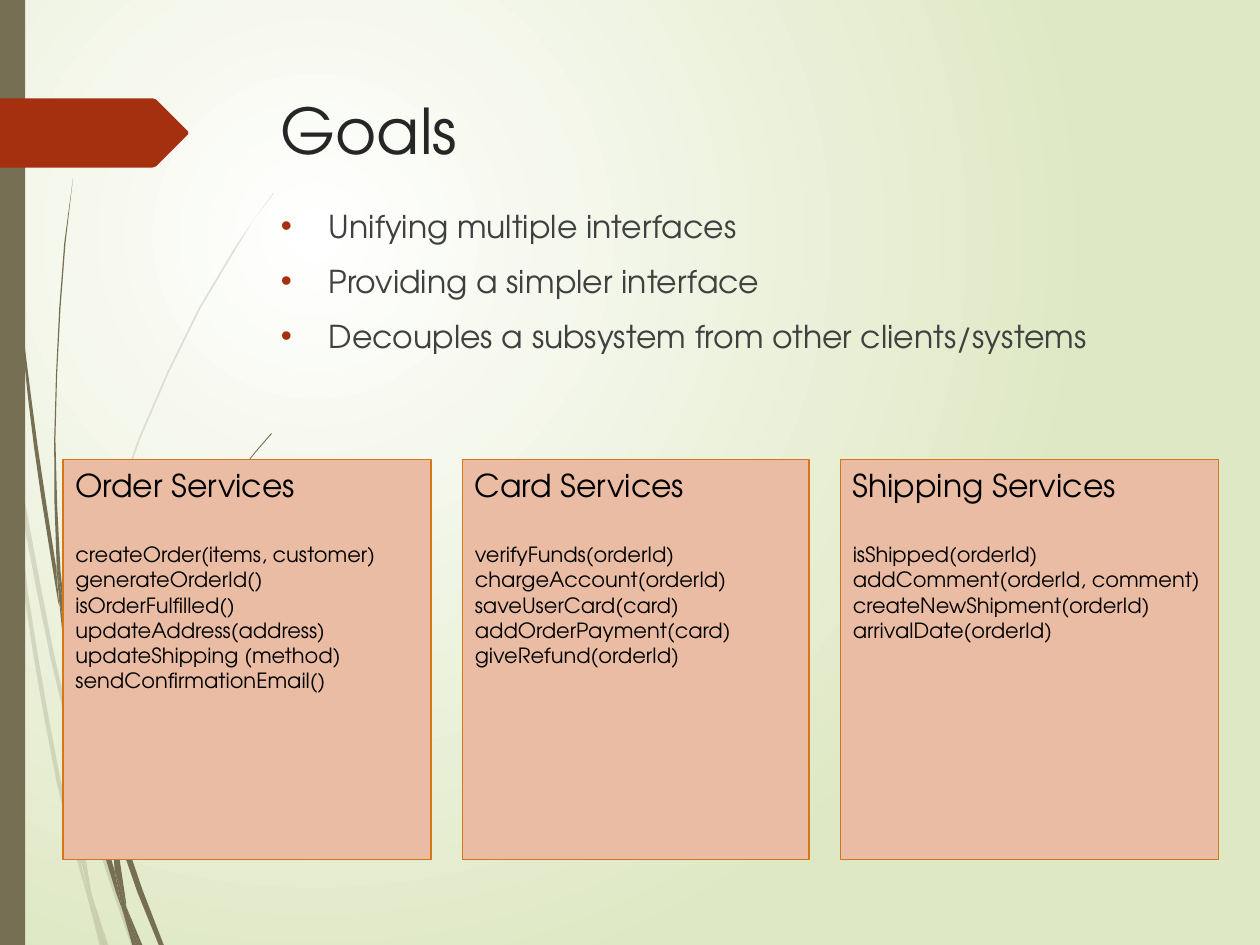
from dataclasses import dataclass
from math import ceil, dist

from lxml import etree
from pptx import Presentation
from pptx.dml.color import RGBColor
from pptx.enum.shapes import MSO_SHAPE
from pptx.enum.text import MSO_ANCHOR, PP_ALIGN
from pptx.oxml.ns import qn
from pptx.util import Emu, Inches, Pt

RECTANGLE = MSO_SHAPE.RECTANGLE
TOP = MSO_ANCHOR.TOP
LEFT = PP_ALIGN.LEFT

OLIVE = RGBColor(0x76, 0x6F, 0x54)
RUST = RGBColor(0xA5, 0x30, 0x10)
TITLE_GRAY = RGBColor(0x26, 0x26, 0x26)
BODY_GRAY = RGBColor(0x40, 0x40, 0x40)
PEACH = RGBColor(0xEB, 0xBC, 0xA4)
ORANGE = RGBColor(0xD4, 0x78, 0x17)
BLACK = RGBColor(0x00, 0x00, 0x00)
WHITE = RGBColor(0xFF, 0xFF, 0xFF)
PALE_GREEN = RGBColor(0xDF, 0xE8, 0xC4)

FONT = "TeX Gyre Adventor"
SLIDE_WIDTH, SLIDE_HEIGHT = Inches(10), Inches(7.5)
COLUMNS, ROWS = 1000, 750
CELL = SLIDE_WIDTH // COLUMNS
CHORD = 60

Point = tuple[float, float]


@dataclass(frozen=True)
class Blade:
    outward: list[Point]
    back: list[Point]


@dataclass(frozen=True)
class ServiceCard:
    title: str
    columns: int
    methods: list[str]


PALE_BLADES = [
    Blade([(8, 350), (6, 322), (0, 282)], [(0, 299), (7, 344), (8, 350)]),
    Blade([(10, 345), (12, 376), (40, 522), (59, 599)], [(59, 586), (43, 520), (10, 345)]),
    Blade([(61, 596), (61, 610), (85, 694), (104, 750)], [(108, 750), (88, 692), (64, 607), (61, 596)]),
    Blade([(73, 711), (83, 750)], [(86, 750), (73, 711)]),
    Blade([(8, 350), (19, 470), (45, 621), (64, 693), (70, 714)],
          [(69, 707), (64, 683), (48, 619), (22, 469), (12, 376), (8, 350)]),
    Blade([(58, 599), (60, 646), (64, 683), (67, 692), (73, 711)],
          [(72, 706), (63, 646), (61, 610), (58, 599)]),
    Blade([(61, 596), (61, 584), (76, 462), (111, 349), (159, 245), (187, 198), (201, 175), (217, 154)],
          [(217, 153), (201, 175), (186, 197), (158, 244), (110, 348), (75, 461), (59, 584), (61, 596)]),
    Blade([(70, 714), (79, 750)], [(82, 750), (70, 714)]),
    Blade([(65, 683), (69, 707), (70, 714), (82, 750)], [(83, 750), (73, 711), (67, 692), (65, 683)]),
]

DARK_BLADES = [
    Blade([(2, 0), (3, 48), (5, 110), (14, 233), (27, 355), (46, 477), (47, 481)],
          [(45, 457), (45, 453), (30, 355), (15, 232), (6, 109), (4, 48), (3, 0)]),
    Blade([(50, 472), (53, 505), (73, 592), (88, 645)], [(88, 633), (88, 631), (77, 590), (50, 472)]),
    Blade([(91, 641), (91, 656), (109, 708), (126, 750)], [(130, 750), (113, 706), (94, 649), (91, 641)]),
    Blade([(47, 477), (56, 557), (77, 659), (92, 708), (97, 722)],
          [(96, 717), (91, 691), (81, 657), (60, 556), (53, 505), (47, 477)]),
    Blade([(50, 472), (48, 453), (44, 349), (48, 245), (52, 193), (58, 141)],
          [(58, 141), (51, 193), (47, 245), (43, 349), (45, 449), (49, 472)]),
    Blade([(100, 719), (110, 750)], [(113, 750), (100, 719)]),
    Blade([(45, 449), (45, 453), (47, 477), (53, 505)], [(50, 472), (49, 472), (45, 449)]),
    Blade([(91, 641), (91, 633), (103, 552), (131, 476), (169, 406), (191, 374), (203, 359), (216, 344)],
          [(215, 344), (203, 358), (191, 373), (168, 405), (129, 474), (101, 551), (88, 631), (91, 641)]),
    Blade([(97, 722), (105, 750)], [(108, 750), (97, 722)]),
    Blade([(88, 645), (91, 691), (96, 706), (100, 719)], [(100, 716), (91, 656), (90, 651), (88, 645)]),
    Blade([(91, 691), (96, 717), (97, 722), (108, 750)], [(110, 750), (100, 719), (96, 706), (91, 691)]),
]

ARROW = [(0, 78), (121, 78), (124, 79), (149, 104), (149.5, 105.5), (149, 107),
         (124, 132), (121, 133), (0, 133)]

GOALS = [
    "Unifying multiple interfaces",
    "Providing a simpler interface",
    "Decouples a subsystem from other clients/systems",
]

CARDS = [
    ServiceCard("Order Services", 292, [
        "createOrder(items, customer)", "generateOrderId()", "isOrderFulfilled()",
        "updateAddress(address)", "updateShipping (method)", "sendConfirmationEmail()"]),
    ServiceCard("Card Services", 275, [
        "verifyFunds(orderId)", "chargeAccount(orderId)", "saveUserCard(card)",
        "addOrderPayment(card)", "giveRefund(orderId)"]),
    ServiceCard("Shipping Services", 300, [
        "isShipped(orderId)", "addComment(orderId, comment)",
        "createNewShipment(orderId)", "arrivalDate(orderId)"]),
]
CARD_LEFT, CARD_TOP, CARD_ROWS, CARD_GAP = 50, 365, 317, 25


def cells(count: float) -> Emu:
    return Emu(round(count * CELL))


def control(anchor: Point, start: Point, end: Point, reach: float) -> Point:
    scale = reach / (3 * (dist(start, end) or 1))
    return tuple(a + (e - s) * scale for a, s, e in zip(anchor, start, end))


def smooth(anchors: list[Point]) -> list[Point]:
    padded = [anchors[0], *anchors, anchors[-1]]
    curve = [anchors[0]]
    for before, start, end, after in zip(padded, padded[1:], padded[2:], padded[3:]):
        reach = dist(start, end)
        handles = (start, control(start, before, end, reach), control(end, after, start, reach), end)
        steps = ceil(reach / CHORD)
        for step in range(1, steps + 1):
            t = step / steps
            weights = ((1 - t) ** 3, 3 * t * (1 - t) ** 2, 3 * t * t * (1 - t), t ** 3)
            curve.append(tuple(sum(w * h[axis] for w, h in zip(weights, handles)) for axis in (0, 1)))
    return curve


def paint(shape, color: RGBColor) -> None:
    shape.shadow.inherit = False
    shape.fill.solid()
    shape.fill.fore_color.rgb = color
    shape.line.fill.background()


def draw_outline(shapes, points: list[Point], color: RGBColor):
    corners = [(cells(x), cells(y)) for x, y in points]
    builder = shapes.build_freeform(*corners[0])
    builder.add_line_segments(corners[1:], close=True)
    shape = builder.convert_to_shape()
    paint(shape, color)
    return shape


def draw_blades(slide, blades: list[Blade], opacity: int) -> None:
    group = slide.shapes.add_group_shape()
    for blade in blades:
        shape = draw_outline(group.shapes, smooth(blade.outward) + smooth(blade.back), OLIVE)
        if opacity < 100:
            color = shape._element.spPr.find(".//" + qn("a:srgbClr"))
            etree.SubElement(color, qn("a:alpha"), val=str(opacity * 1000))


def write(text_frame, text: str, size: int, color: RGBColor, first: bool = False):
    paragraph = text_frame.paragraphs[0] if first else text_frame.add_paragraph()
    paragraph.alignment = LEFT
    run = paragraph.add_run()
    run.text = text
    run.font.name = FONT
    run.font.size = Pt(size)
    run.font.color.rgb = color
    return paragraph


def add_text_area(slide, top: int, rows: int):
    text_frame = slide.shapes.add_textbox(cells(213), cells(top), cells(721), cells(rows)).text_frame
    text_frame.word_wrap = True
    text_frame.vertical_anchor = TOP
    return text_frame


def add_bullet(paragraph, color: RGBColor) -> None:
    properties = paragraph._p.get_or_add_pPr()
    properties.set("marL", str(cells(38)))
    properties.set("indent", str(-cells(38)))
    bullet_color = etree.SubElement(properties, qn("a:buClr"))
    etree.SubElement(bullet_color, qn("a:srgbClr"), val=str(color))
    etree.SubElement(properties, qn("a:buFont"), typeface="Arial")
    etree.SubElement(properties, qn("a:buChar"), char="•")


def draw_card(slide, card: ServiceCard, left: int) -> None:
    shape = slide.shapes.add_shape(RECTANGLE, cells(left), cells(CARD_TOP), cells(card.columns), cells(CARD_ROWS))
    paint(shape, PEACH)
    shape.line.color.rgb = ORANGE
    shape.line.width = Pt(0.75)
    text_frame = shape.text_frame
    text_frame.word_wrap = True
    text_frame.vertical_anchor = TOP
    write(text_frame, card.title, 18, BLACK, first=True)
    for index, method in enumerate(card.methods):
        paragraph = write(text_frame, method, 12, BLACK)
        if index == 0:
            paragraph.space_before = Pt(21.6)


def set_background(slide) -> None:
    fill = slide.background.fill
    fill.gradient()
    for stop, color, position in zip(fill.gradient_stops, (WHITE, PALE_GREEN), (0, 1)):
        stop.color.rgb = color
        stop.position = position
    gradient = slide._element.find(".//" + qn("a:gradFill"))
    gradient.remove(gradient.find(qn("a:lin")))
    radial = etree.SubElement(gradient, qn("a:path"), {"path": "circle"})
    etree.SubElement(radial, qn("a:fillToRect"), l="50000", t="50000", r="100000", b="100000")


def main() -> None:
    presentation = Presentation()
    presentation.slide_width, presentation.slide_height = SLIDE_WIDTH, SLIDE_HEIGHT
    slide = presentation.slides.add_slide(presentation.slide_layouts[6])
    set_background(slide)
    draw_blades(slide, PALE_BLADES, 20)
    draw_blades(slide, DARK_BLADES, 100)
    paint(slide.shapes.add_shape(RECTANGLE, 0, 0, cells(20), cells(ROWS)), OLIVE)
    draw_outline(slide.shapes, ARROW, RUST)
    write(add_text_area(slide, 68, 140), "Goals", 36, TITLE_GRAY, first=True)
    body = add_text_area(slide, 159, 413)
    for index, goal in enumerate(GOALS):
        paragraph = write(body, goal, 18, BODY_GRAY, first=index == 0)
        paragraph.space_before = Pt(10)
        add_bullet(paragraph, RUST)
    left = CARD_LEFT
    for card in CARDS:
        draw_card(slide, card, left)
        left += card.columns + CARD_GAP
    presentation.save("out.pptx")


if __name__ == "__main__":
    main()
